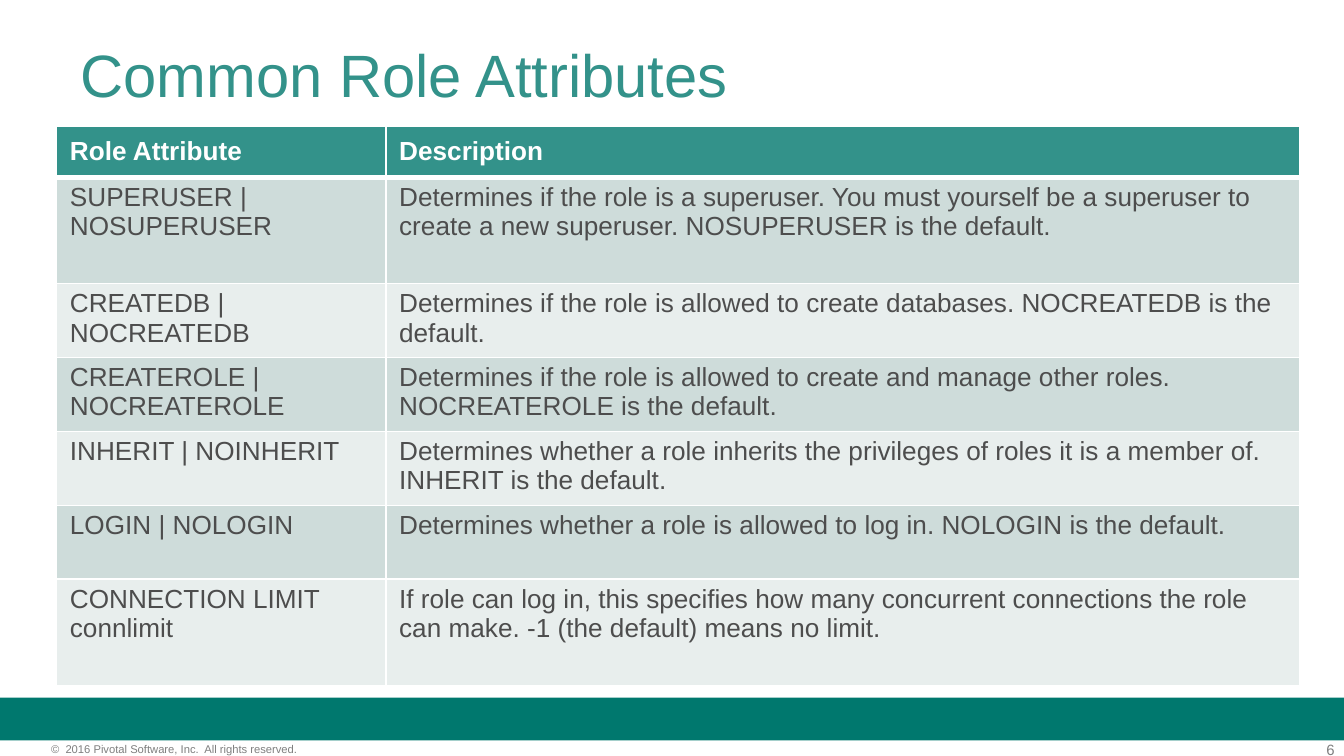
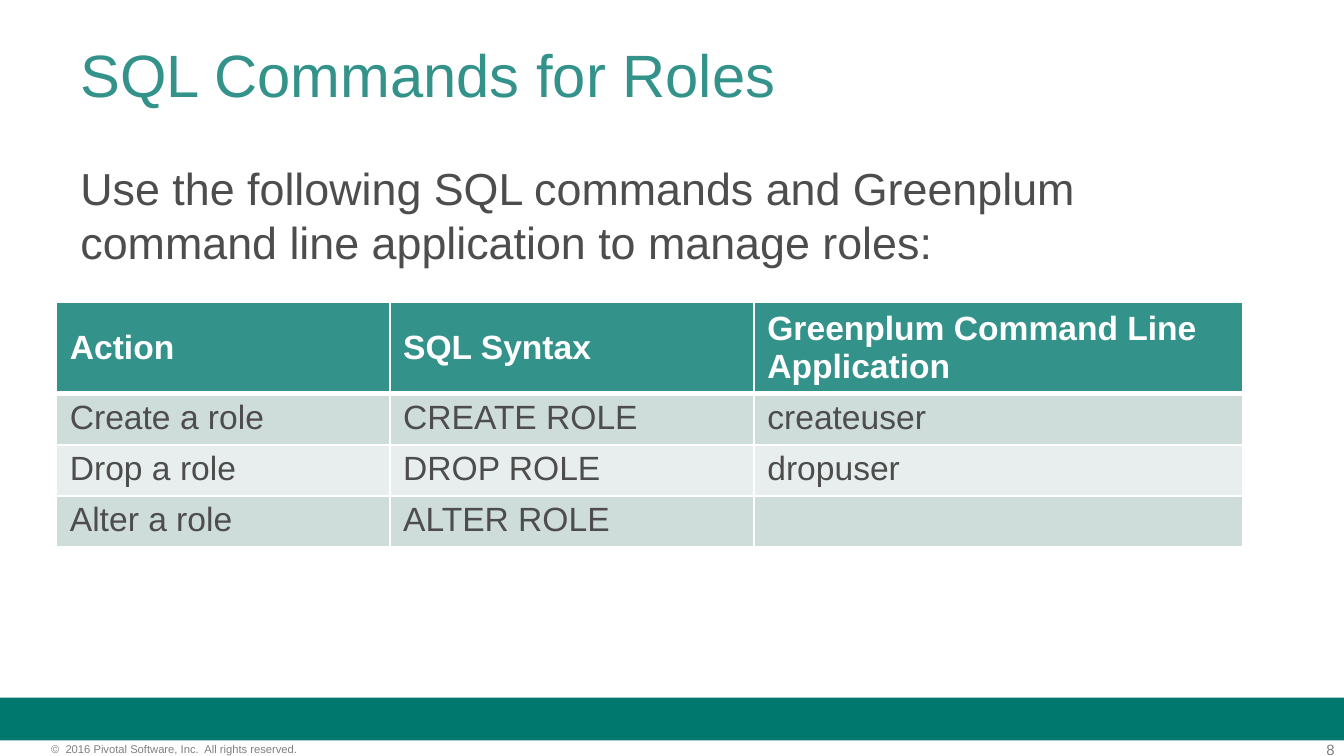
from lxml.etree import SubElement
from pptx import Presentation
from pptx.dml.color import RGBColor
from pptx.enum.shapes import MSO_SHAPE
from pptx.enum.text import MSO_ANCHOR, PP_ALIGN
from pptx.oxml.ns import qn
from pptx.util import Inches, Pt

COLORS = {
    "white": "FFFFFF",
    "band": "00786E",
    "accent": "33928A",
    "text": "4D4D4D",
    "foot": "7F7F7F",
    "odd": "CEDCDA",
    "even": "E8EEED",
}
FONT = {"name": "Arial", "bold": False}
STYLES = {
    "title": ("accent", {"size": Pt(32)}),
    "body": ("text", {"size": Pt(24)}),
    "page": ("foot", {"size": Pt(8)}),
    "legal": ("foot", {"size": Pt(6)}),
}
LEGAL = "©  2016 Pivotal Software, Inc.  All rights reserved."

ROLES = [
    ("Role Attribute", "Description"),
    ("SUPERUSER | NOSUPERUSER",
     "Determines if the role is a superuser. You must yourself be a superuser "
     "to create a new superuser. NOSUPERUSER is the default."),
    ("CREATEDB | NOCREATEDB",
     "Determines if the role is allowed to create databases. "
     "NOCREATEDB is the default."),
    ("CREATEROLE | NOCREATEROLE",
     "Determines if the role is allowed to create and manage other roles. "
     "NOCREATEROLE is the default."),
    ("INHERIT | NOINHERIT",
     "Determines whether a role inherits the privileges of roles it is a "
     "member of. INHERIT is the default."),
    ("LOGIN | NOLOGIN",
     "Determines whether a role is allowed to log in. "
     "NOLOGIN is the default."),
    ("CONNECTION LIMIT connlimit",
     "If role can log in, this specifies how many concurrent connections the "
     "role can make. -1 (the default) means no limit."),
]
COMMANDS = [
    ("Action", "SQL Syntax", "Greenplum Command Line Application"),
    ("Create a role", "CREATE ROLE", "createuser"),
    ("Drop a role", "DROP ROLE", "dropuser"),
    ("Alter a role", "ALTER ROLE", ""),
]


def color(key):
    return RGBColor.from_string(COLORS[key])


def style(font, key, extra):
    for name, value in {**FONT, **extra}.items():
        setattr(font, name, value)
    font.color.rgb = color(key)


def pad(target, side, top):
    margins = {"margin_left": side, "margin_right": side,
               "margin_top": top, "margin_bottom": top}
    for name, value in margins.items():
        setattr(target, name, Inches(value))


def add_text(slide, box, text, kind, side=0, top=0, align=PP_ALIGN.LEFT):
    frame = slide.shapes.add_textbox(*map(Inches, box)).text_frame
    frame.word_wrap = True
    pad(frame, side, top)
    para = frame.paragraphs[0]
    para.alignment = align
    run = para.add_run()
    run.text = text
    style(run.font, *STYLES[kind])


# Band, footer and title shared by all slides
def add_page(deck, title, number):
    slide = deck.slides.add_slide(deck.slide_layouts[6])
    band = slide.shapes.add_shape(
        MSO_SHAPE.RECTANGLE, *map(Inches, (0, 5.19, 10, 0.32)))
    band.shadow.inherit = False
    band.fill.solid()
    band.fill.fore_color.rgb = color("band")
    band.line.fill.background()
    add_text(slide, (9.35, 5.51, 0.58, 0.13), str(number), "page",
             align=PP_ALIGN.RIGHT)
    add_text(slide, (0.38, 5.52, 2.49, 0.1), LEGAL, "legal")
    add_text(slide, (0.5, 0.23, 9, 0.94), title, "title", 0.1, 0.05)
    return slide


# White cell borders, thick between the header and the rows
def add_edges(cell, row):
    widths = {"a:lnL": 1, "a:lnR": 1,
              "a:lnT": 3 if row == 1 else 1,
              "a:lnB": 3 if row == 0 else 1}
    props = cell._tc.get_or_add_tcPr()
    for tag, width in widths.items():
        line = SubElement(props, qn(tag), w=str(Pt(width)))
        fill = SubElement(line, qn("a:solidFill"))
        SubElement(fill, qn("a:srgbClr"), val=COLORS["white"])


def fill_cell(cell, text, row, size):
    head = row == 0
    add_edges(cell, row)
    cell.fill.solid()
    cell.fill.fore_color.rgb = color(
        "accent" if head else "odd" if row % 2 else "even")
    pad(cell, 0.1, 0.04)
    cell.vertical_anchor = MSO_ANCHOR.MIDDLE if head else MSO_ANCHOR.TOP
    if text:
        run = cell.text_frame.paragraphs[0].add_run()
        run.text = text
        style(run.font, "white" if head else "text",
              {"size": Pt(size), "bold": head})


def add_grid(slide, top, data, widths, heights, size):
    box = (0.42, top, sum(widths), sum(heights))
    table = slide.shapes.add_table(
        len(data), len(widths), *map(Inches, box)).table
    for column, width in zip(table.columns, widths):
        column.width = Inches(width)
    for row, (height, texts) in enumerate(zip(heights, data)):
        table.rows[row].height = Inches(height)
        for col, text in enumerate(texts):
            fill_cell(table.cell(row, col), text, row, size)


def main():
    deck = Presentation()
    deck.slide_width = Inches(10)
    deck.slide_height = deck.slide_width * 9 // 16

    # Role attributes
    slide = add_page(deck, "Common Role Attributes", 6)
    add_grid(slide, 0.94, ROLES, (2.45, 6.8),
             [0.38, 0.79] + [0.55] * 4 + [0.79], 14)

    # Commands for roles
    slide = add_page(deck, "SQL Commands for Roles", 8)
    add_text(slide, (0.5, 1.15, 9, 3.71),
             "Use the following SQL commands and Greenplum command line "
             "application to manage roles:", "body", 0.1, 0.05)
    add_grid(slide, 2.25, COMMANDS, (2.48, 2.71, 3.64),
             [0.67] + [0.38] * 3, 18)

    deck.save("out.pptx")


if __name__ == "__main__":
    main()
